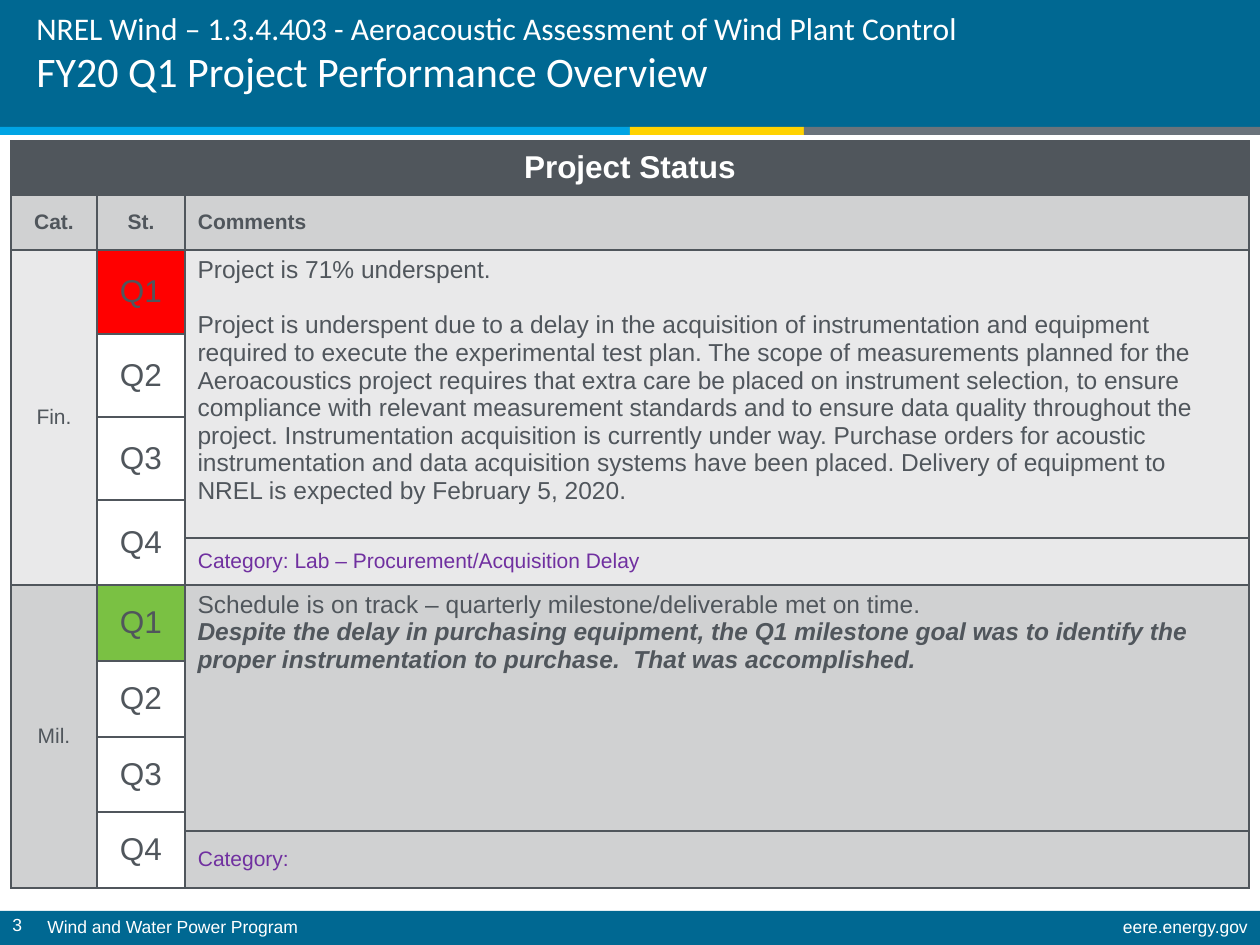
from itertools import accumulate
from lxml.etree import SubElement
from pptx import Presentation
from pptx.dml.color import RGBColor
from pptx.enum.shapes import MSO_SHAPE as Preset
from pptx.enum.text import MSO_ANCHOR as Anchor, PP_ALIGN as Align
from pptx.oxml.ns import qn
from pptx.util import Emu, Pt

PX = 914400 // 126
WIDTH, HEIGHT = 1260, 945
BLUE, SLATE, PURPLE, WHITE = "006892", "50565C", "7030A0", "FFFFFF"
GRAY, LIGHT = "D0D1D2", "E9E9EA"
LABEL = {"size": Pt(12), "name": "Arial", "bold": False}
HEADING = {**LABEL, "bold": True}
BODY = {**LABEL, "size": Pt(14)}
EMPHASIS = {**BODY, "bold": True, "italic": True}
QUARTER = {**LABEL, "size": Pt(18)}
BANNER = {**QUARTER, "bold": True}
FOOTER = {**LABEL, "size": Pt(10)}
CENTERED = {"vertical_anchor": Anchor.MIDDLE, "margin_left": 0, "margin_right": 0,
            "margin_top": 0, "margin_bottom": 0}
CATEGORY = {**CENTERED, "margin_left": Emu(13 * PX)}


def px(*lengths):
    return [Emu(length * PX) for length in lengths]


def paint(target, color):
    target.solid()
    target.fore_color.rgb = RGBColor.from_string(color)


def apply(target, values):
    for name, value in values.items():
        setattr(target, name, value)


def write(paragraph, text, style, color, align=Align.LEFT):
    paragraph.alignment = align
    run = paragraph.add_run()
    run.text = text
    apply(run.font, style)
    paint(run.font.fill, color)


def add_bar(slide, box, color):
    shape = slide.shapes.add_shape(Preset.RECTANGLE, *px(*box))
    shape.shadow.inherit = False
    paint(shape.fill, color)
    shape.line.fill.background()


def add_text(slide, box):
    frame = slide.shapes.add_textbox(*px(*box)).text_frame
    frame.word_wrap = True
    return frame


def add_header(slide, left, top, width, height):
    add_bar(slide, (left, top, width, height), BLUE)
    stripes = [(630, "00A4E4"), (174, "FFD200"), (456, "6A737B")]
    starts = accumulate((stripe for stripe, _ in stripes), initial=left)
    for start, (stripe, color) in zip(starts, stripes):
        add_bar(slide, (start, top + height, stripe, 8), color)
    frame = add_text(slide, (left + 24, top - 8, 1053, 110))
    frame.vertical_anchor = Anchor.MIDDLE
    paragraph = frame.paragraphs[0]
    paragraph.line_spacing = Pt(28)
    title = {"name": "Calibri", "size": Pt(18)}
    write(paragraph, "NREL Wind – 1.3.4.403 - Aeroacoustic Assessment of Wind Plant Control",
          title, WHITE)
    paragraph.add_line_break()
    write(paragraph, "FY20 Q1 Project Performance Overview", {**title, "size": Pt(24)}, WHITE)


def add_footer(slide, left, top, width, height):
    add_bar(slide, (left, top, width, height), BLUE)
    for offset, rise, span, text, align, spacing in [
        (0, -3, 54, "3", Align.LEFT, 1),
        (35, 1, 700, "Wind and Water Power Program", Align.LEFT, 0.9),
        (width - 505, 1, 505, "eere.energy.gov", Align.RIGHT, 0.9),
    ]:
        paragraph = add_text(slide, (left + offset, top + rise, span, 33)).paragraphs[0]
        paragraph.line_spacing = spacing
        write(paragraph, text, FOOTER, WHITE, align)


def outline(cell):
    properties = cell._tc.get_or_add_tcPr()
    for side in ("lnL", "lnR", "lnT", "lnB"):
        line = SubElement(properties, qn(f"a:{side}"), w=str(Pt(1)))
        fill = SubElement(line, qn("a:solidFill"))
        SubElement(fill, qn("a:srgbClr"), val=SLATE)


def fill_cell(cell, text, style, fill, color=SLATE, align=Align.CENTER, layout=CENTERED):
    apply(cell, layout)
    write(cell.text_frame.paragraphs[0], text, style, color, align)
    if fill:
        paint(cell.fill, fill)
    else:
        cell.fill.background()


def add_category(table, first, name, fill, status, comments, gap, note):
    last = first + 4
    for row, column, end in [(first, 0, last), (first + 3, 1, last), (first, 2, last - 1)]:
        table.cell(row, column).merge(table.cell(end, column))
    fill_cell(table.cell(first, 0), name, LABEL, fill)
    for index in range(4):
        fill_cell(table.cell(first + index, 1), f"Q{index + 1}", QUARTER,
                  None if index else status)
    cell = table.cell(first, 2)
    (opening, style), (detail, detail_style) = comments
    fill_cell(cell, opening, style, fill, align=Align.LEFT, layout={})
    paragraph = cell.text_frame.add_paragraph()
    paragraph.space_before = Pt(gap)
    write(paragraph, detail, detail_style, SLATE)
    fill_cell(table.cell(last, 2), note, LABEL, fill, PURPLE, Align.LEFT, CATEGORY)


def add_status_table(slide, left, top):
    columns = [86, 88, 1064]
    rows = [54, 55, 84, 83, 83, 38, 47, 76, 76, 75, 19, 57]
    box = px(left, top, sum(columns), sum(rows))
    table = slide.shapes.add_table(len(rows), len(columns), *box).table
    apply(table, {"first_row": False, "horz_banding": False})
    for column, width in zip(table.columns, px(*columns)):
        column.width = width
    for row, height in zip(table.rows, px(*rows)):
        row.height = height
    for cell in table.iter_cells():
        outline(cell)
    table.cell(0, 0).merge(table.cell(0, 2))
    fill_cell(table.cell(0, 0), "Project Status", BANNER, SLATE, WHITE)
    fill_cell(table.cell(1, 0), "Cat.", HEADING, GRAY)
    fill_cell(table.cell(1, 1), "St.", HEADING, GRAY)
    fill_cell(table.cell(1, 2), "Comments", HEADING, GRAY, align=Align.LEFT, layout=CATEGORY)
    add_category(table, 2, "Fin.", LIGHT, "FF0000", [
        ("Project is 71% underspent.", BODY),
        ("Project is underspent due to a delay in the acquisition of instrumentation and "
         "equipment required to execute the experimental test plan. The scope of measurements "
         "planned for the Aeroacoustics project requires that extra care be placed on instrument "
         "selection, to ensure compliance with relevant measurement standards and to ensure data "
         "quality throughout the project. Instrumentation acquisition is currently under way. "
         "Purchase orders for acoustic instrumentation and data acquisition systems have been "
         "placed. Delivery of equipment to NREL is expected by February 5, 2020.", BODY),
    ], 16, "Category: Lab – Procurement/Acquisition Delay")
    add_category(table, 7, "Mil.", GRAY, "7AC143", [
        ("Schedule is on track – quarterly milestone/deliverable met on time.", BODY),
        ("Despite the delay in purchasing equipment, the Q1 milestone goal was to identify the "
         "proper instrumentation to purchase.  That was accomplished.", EMPHASIS),
    ], 0, "Category:")


def main():
    presentation = Presentation()
    presentation.slide_width, presentation.slide_height = px(WIDTH, HEIGHT)
    slide = presentation.slides.add_slide(presentation.slide_layouts[6])
    add_header(slide, 0, 0, WIDTH, 127)
    add_footer(slide, 0, 911, WIDTH, 34)
    add_status_table(slide, 11, 141)
    presentation.save("out.pptx")


if __name__ == "__main__":
    main()
